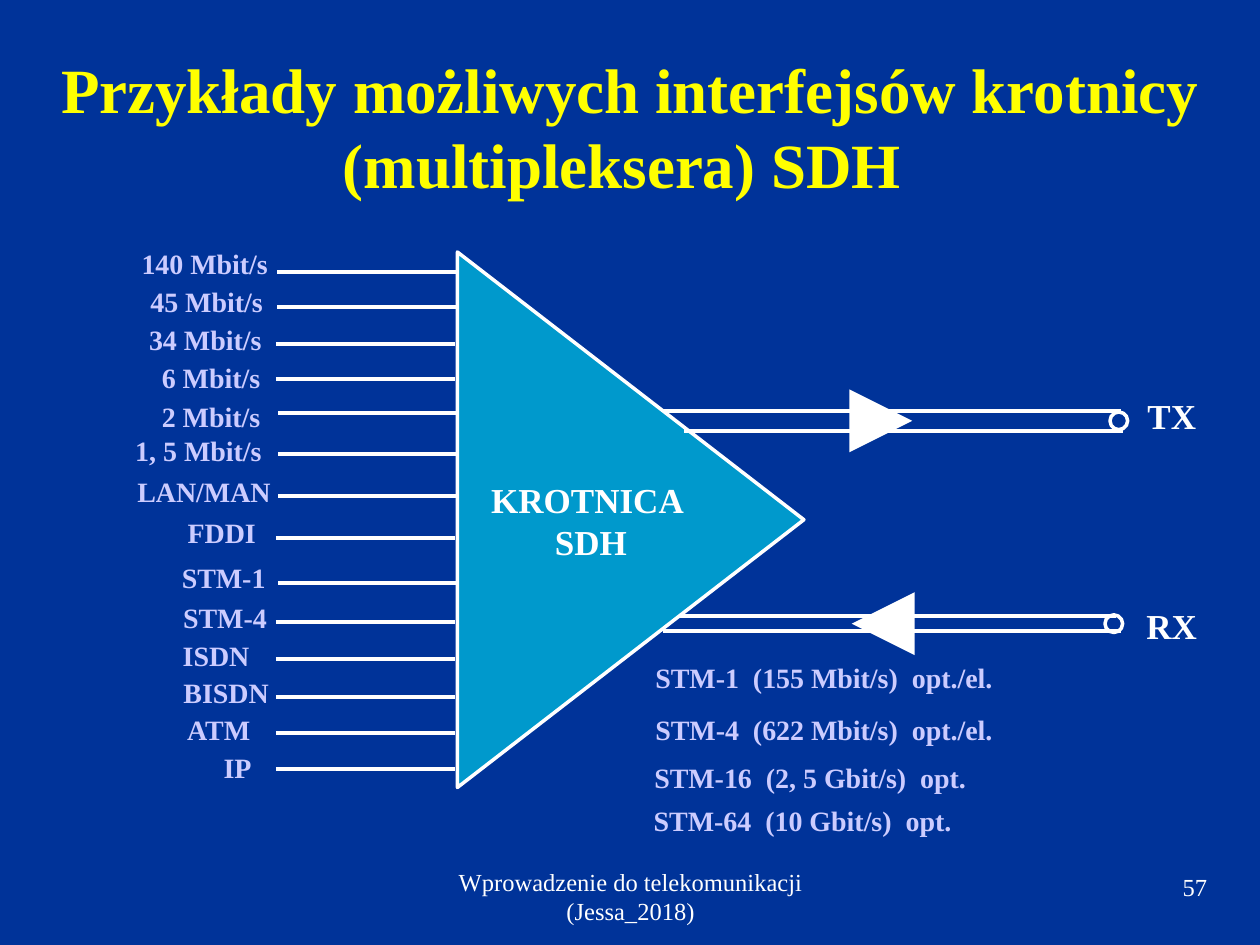
from lxml import etree
from pptx import Presentation
from pptx import util as u
from pptx.dml.color import RGBColor
from pptx.enum import shapes, text
from pptx.oxml.ns import qn

COLUMNS, ROWS = 100, 75
CELL = u.Inches(0.1)
NAVY, TEAL, WHITE, YELLOW, LILAC = "003399", "0099CC", "FFFFFF", "FFFF00", "CCCCFF"

INTERFACES = [
    ("140 Mbit/s", 10.2, 19.1, 12.1, 22.0, 21.6),
    ("45 Mbit/s", 10.9, 22.1, 11, 22.0, 24.4),
    ("34 Mbit/s", 10.8, 25.1, 11, 21.9, 27.3),
    ("6 Mbit/s", 11.8, 28.1, 9.9, 21.9, 30.1),
    ("2 Mbit/s", 11.8, 31.2, 9.9, 22.1, 32.8),
    ("1, 5 Mbit/s", 9.7, 33.9, 12.1, 22.1, 36.0),
    ("LAN/MAN", 9.9, 37.2, 12.6, 22.1, 39.4),
    ("FDDI", 13.9, 40.4, 7.4, 21.9, 42.7),
    ("STM-1", 12.8, 44.0, 9.9, 22.1, 46.3),
    ("STM-4", 12.9, 47.2, 9.9, 21.9, 49.4),
    ("ISDN", 12.2, 50.2, 9.9, 21.9, 52.3),
    ("BISDN", 13.0, 53.1, 9.9, 21.9, 55.3),
    ("ATM", 12.4, 56.1, 9.9, 21.9, 58.2),
    ("IP", 13.9, 59.1, 9.9, 21.9, 61.0),
]
LINE_RATES = [
    ("STM-1  (155 Mbit/s)  opt./el.", 50, 51.9),
    ("STM-4  (622 Mbit/s)  opt./el.", 50, 56.1),
    ("STM-16  (2, 5 Gbit/s)  opt.", 48.9, 59.9),
    ("STM-64  (10 Gbit/s)  opt.", 48.3, 63.3),
]
FIBRES = [
    ("TX", 30.8, [(52.6, 89, 32.6), (54.3, 89.1, 34.2)], (88.1, 32.7), (71.6, 72.4, 33.4)),
    ("RX", 47.5, [(52.6, 89, 50.1), (54, 88.6, 48.9)], (87.7, 48.8), (68.4, 67.6, 49.5)),
]


def grid(*cells):
    return [round(cell * CELL) for cell in cells]


def paint(color_format, color):
    color_format.rgb = RGBColor.from_string(color)


def add_text(slide, content, box, size=16, color=LILAC, bold=True,
             align=text.PP_ALIGN.CENTER, wrap=True, grow=True):
    label = slide.shapes.add_textbox(*grid(*box))
    frame = label.text_frame
    frame.word_wrap = wrap
    frame.auto_size = (text.MSO_AUTO_SIZE.SHAPE_TO_FIT_TEXT if grow
                       else text.MSO_AUTO_SIZE.NONE)
    frame.text = content
    for paragraph in frame.paragraphs:
        paragraph.alignment = align
        paragraph.font.name = "Times New Roman"
        paragraph.font.size = u.Pt(size)
        paragraph.font.bold = bold
        paint(paragraph.font.color, color)


def add_line(slide, start, end, row, width=2.25, arrow=False):
    wire = slide.shapes.add_connector(
        shapes.MSO_CONNECTOR.STRAIGHT, *grid(start, row, end, row))
    wire.line.width = u.Pt(width)
    paint(wire.line.color, WHITE)
    if arrow:
        etree.SubElement(wire.line._get_or_add_ln(), qn("a:tailEnd"), type="triangle")
    etree.SubElement(wire._element.spPr, qn("a:effectLst"))


def add_outline(slide, kind, box, fill=None, rotation=0):
    figure = slide.shapes.add_shape(kind, *grid(*box))
    figure.shadow.inherit = False
    figure.rotation = rotation
    figure.line.width = u.Pt(2)
    paint(figure.line.color, WHITE)
    if fill:
        figure.fill.solid()
        paint(figure.fill.fore_color, fill)
    else:
        figure.fill.background()


def add_interfaces(slide):
    for name, left, top, width, start, row in INTERFACES:
        add_line(slide, start, start + 14.2, row)
        add_text(slide, name, (left, top, width, 3.7), wrap=False)


def add_fibres(slide):
    for name, top, edges, (left, ring_top), (start, end, row) in FIBRES:
        for edge in edges:
            add_line(slide, *edge)
        add_outline(slide, shapes.MSO_SHAPE.OVAL, (left, ring_top, 1.4, 1.4))
        add_line(slide, start, end, row, width=12, arrow=True)
        add_text(slide, name, (90, top, 6, 4.3), size=20, color=WHITE, wrap=False)


def main():
    deck = Presentation()
    deck.slide_width, deck.slide_height = grid(COLUMNS, ROWS)
    slide = deck.slides.add_slide(deck.slide_layouts[6])
    slide.background.fill.solid()
    paint(slide.background.fill.fore_color, NAVY)

    add_text(slide, "Przykłady możliwych interfejsów krotnicy (multipleksera) SDH ",
             (0, 3.5, COLUMNS, 13.1), size=36, color=YELLOW)
    add_outline(slide, shapes.MSO_SHAPE.ISOSCELES_TRIANGLE, (28.8, 27.5, 42.5, 27.5),
                fill=TEAL, rotation=90)
    add_interfaces(slide)
    add_fibres(slide)
    for rate, left, top in LINE_RATES:
        add_text(slide, rate, (left, top, 30.8, 3.7))
    add_text(slide, "KROTNICA \nSDH", (31.5, 37.5, 30.8, 7.7), size=20, color=WHITE)
    add_text(slide, "Wprowadzenie do telekomunikacji (Jessa_2018)",
             (34.2, 68.3, 31.7, 5), size=14, color=WHITE, bold=False, grow=False)
    add_text(slide, "57", (76, 68.7, 20.8, 5), size=14, color=WHITE, bold=False,
             align=text.PP_ALIGN.RIGHT, grow=False)
    deck.save("out.pptx")


if __name__ == "__main__":
    main()
